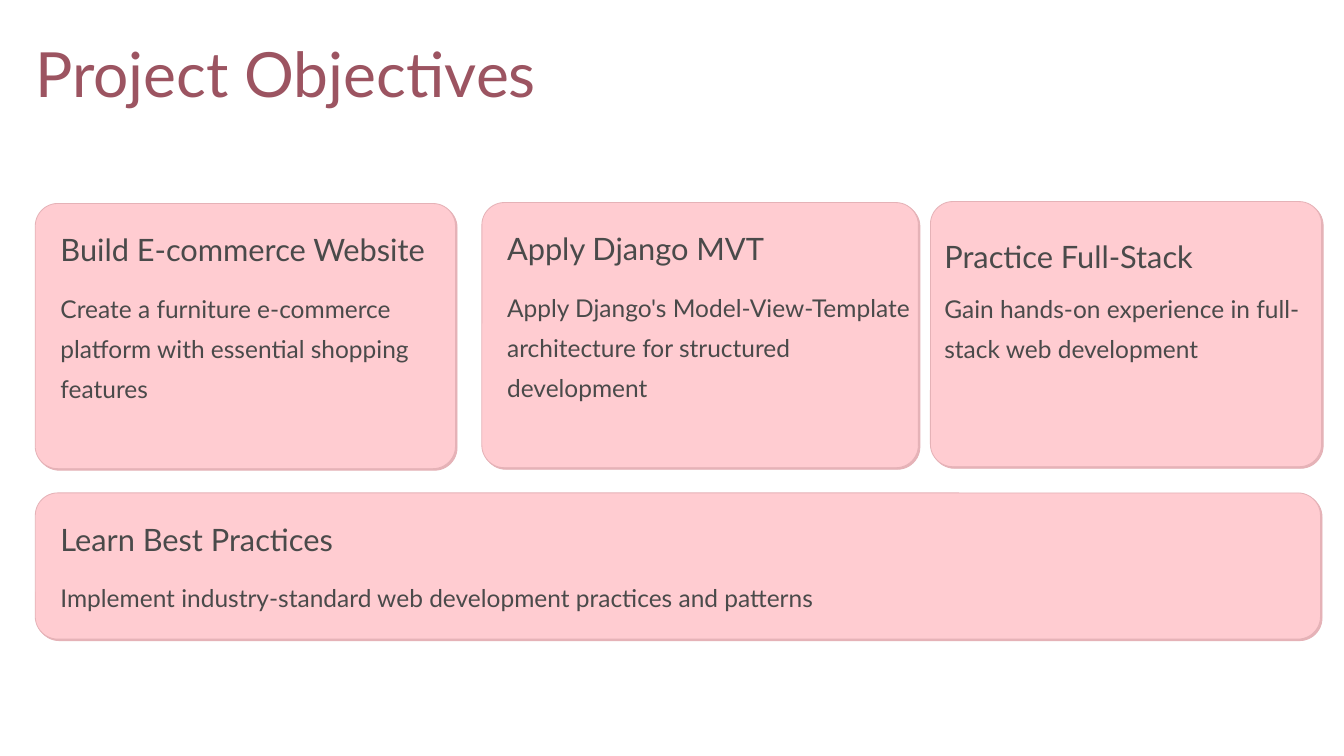
from dataclasses import dataclass

from lxml import etree
from pptx import Presentation
from pptx.dml.color import RGBColor
from pptx.enum.shapes import MSO_SHAPE
from pptx.enum.text import MSO_ANCHOR, PP_ALIGN
from pptx.oxml.ns import qn
from pptx.shapes.autoshape import Shape
from pptx.slide import Slide
from pptx.util import Pt

ROUNDED = MSO_SHAPE.ROUNDED_RECTANGLE
TOP = MSO_ANCHOR.TOP
LEFT = PP_ALIGN.LEFT


@dataclass(frozen=True)
class TextStyle:
    size: float
    line_spacing: float
    color: str


@dataclass(frozen=True)
class Theme:
    font: str = "Lato"
    background: str = "FFFFFF"
    card_fill: str = "FFCCD1"
    card_edge: str = "E5B2B7"
    edge_width: float = 0.6
    corner_radius: float = 16.1
    shadow_distance: float = 1.6
    shadow_degrees: int = 45
    title: TextStyle = TextStyle(44.5, 55.5, "9C5461")
    heading: TextStyle = TextStyle(22, 27.5, "4A4A4A")
    body: TextStyle = TextStyle(17.5, 28.5, "4A4A4A")


@dataclass(frozen=True)
class Box:
    left: float
    top: float
    width: float
    height: float


@dataclass(frozen=True)
class Objective:
    heading: str
    body: str
    card: Box
    body_width: float
    body_height: float
    inset: float = 18
    heading_drop: float = 18
    body_drop: float = 57
    heading_width: float = 223.2
    heading_height: float = 28


THEME = Theme()
MARGIN = 25.2
CARD_HEIGHT = 189.4

OBJECTIVES = [
    Objective("Build E-commerce Website",
              "Create a furniture e-commerce platform with essential shopping features",
              Box(MARGIN, 145.4, 300.2, CARD_HEIGHT), 293.8, 85.7,
              heading_width=293.8, heading_height=56.2),
    Objective("Apply Django MVT",
              "Apply Django's Model-View-Template architecture for structured development",
              Box(344.2, 144.7, 311.8, CARD_HEIGHT), 293.8, 85.7),
    Objective("Practice Full-Stack",
              "Gain hands-on experience in full-stack web development",
              Box(664.6, 144, 279.4, CARD_HEIGHT), 280, 57,
              inset=10, heading_drop=25, body_drop=58.3),
    Objective("Learn Best Practices",
              "Implement industry-standard web development practices and patterns",
              Box(MARGIN, 352.1, 918, 104.4), 880, 28.8, heading_drop=18.7),
]


def add_text(slide: Slide, text: str, box: Box, style: TextStyle, wrap: bool) -> None:
    frame = slide.shapes.add_textbox(
        Pt(box.left), Pt(box.top), Pt(box.width), Pt(box.height)).text_frame
    frame.margin_left = frame.margin_right = frame.margin_top = frame.margin_bottom = 0
    frame.word_wrap = wrap
    frame.vertical_anchor = TOP
    paragraph = frame.paragraphs[0]
    paragraph.alignment = LEFT
    paragraph.line_spacing = Pt(style.line_spacing)
    run = paragraph.add_run()
    run.text = text
    run.font.name = THEME.font
    run.font.size = Pt(style.size)
    run.font.color.rgb = RGBColor.from_string(style.color)


def add_hard_shadow(card: Shape) -> None:
    card.shadow.inherit = False
    effects = card.element.spPr.find(qn("a:effectLst"))
    shadow = etree.SubElement(
        effects, qn("a:outerShdw"), blurRad="0", dist=str(Pt(THEME.shadow_distance)),
        dir=str(THEME.shadow_degrees * 60000), algn="tl", rotWithShape="0")
    etree.SubElement(shadow, qn("a:srgbClr"), val=THEME.card_edge)


def add_card(slide: Slide, box: Box) -> None:
    card = slide.shapes.add_shape(
        ROUNDED, Pt(box.left), Pt(box.top), Pt(box.width), Pt(box.height))
    card.adjustments[0] = THEME.corner_radius / min(box.width, box.height)
    card.fill.solid()
    card.fill.fore_color.rgb = RGBColor.from_string(THEME.card_fill)
    card.line.color.rgb = RGBColor.from_string(THEME.card_edge)
    card.line.width = Pt(THEME.edge_width)
    add_hard_shadow(card)


def add_objective(slide: Slide, objective: Objective) -> None:
    card = objective.card
    left = card.left + objective.inset
    add_card(slide, card)
    add_text(slide, objective.heading,
             Box(left, card.top + objective.heading_drop,
                 objective.heading_width, objective.heading_height),
             THEME.heading, wrap=False)
    add_text(slide, objective.body,
             Box(left, card.top + objective.body_drop,
                 objective.body_width, objective.body_height),
             THEME.body, wrap=True)


def main() -> None:
    presentation = Presentation()
    presentation.slide_width = Pt(960)
    presentation.slide_height = Pt(540)
    slide = presentation.slides.add_slide(presentation.slide_layouts[6])
    slide.background.fill.solid()
    slide.background.fill.fore_color.rgb = RGBColor.from_string(THEME.background)

    # Title
    add_text(slide, "Project Objectives", Box(MARGIN, 23, 446.4, 56.2),
             THEME.title, wrap=False)

    # Objective cards
    for objective in OBJECTIVES:
        add_objective(slide, objective)

    presentation.save("out.pptx")


if __name__ == "__main__":
    main()
